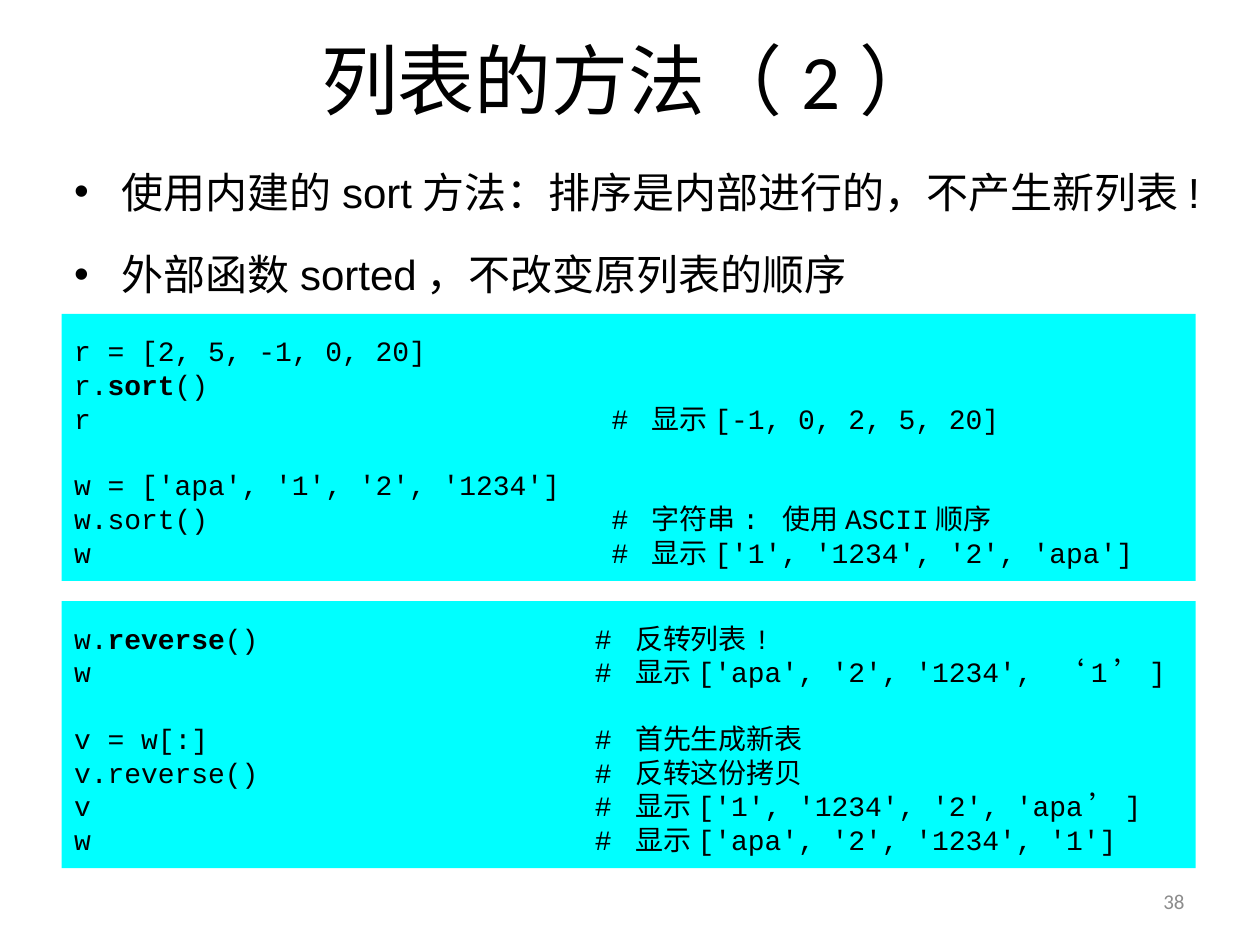
from dataclasses import dataclass
from lxml.etree import SubElement
from pptx import Presentation
from pptx.dml.color import RGBColor
from pptx.enum.lang import MSO_LANGUAGE_ID
from pptx.enum.shapes import MSO_SHAPE
from pptx.enum.text import MSO_ANCHOR, PP_ALIGN
from pptx.oxml.ns import qn
from pptx.util import Inches, Pt


@dataclass(frozen=True)
class Theme:
    ink: RGBColor = RGBColor(0, 0, 0)
    gray: RGBColor = RGBColor(0x8C, 0x8C, 0x8C)
    cyan: RGBColor = RGBColor(0, 0xFF, 0xFF)
    head: str = "Calibri"
    body: str = "Arial"
    code: str = "Courier New"
    title: int = 44
    point: int = 24
    mono: int = 16
    small: int = 12
    gap: int = 19


THEME = Theme()
LEFT, WIDTH = 0.49, 9

POINTS = [
    "使用内建的sort方法：排序是内部进行的，不产生新列表!",
    "外部函数sorted，不改变原列表的顺序",
]

SORT = [
    [("r = [2, 5, -1, 0, 20]", "")],
    [("r.sort()", "")],
    [("r", "显示[-1, 0, 2, 5, 20]")],
]
SORT = [
    [
        ("r = [2, 5, -1, 0, 20]", "", ""),
        ("r.", "sort", "()"),
        ("r", "", "\t# 显示[-1, 0, 2, 5, 20]"),
    ],
    [
        ("w = ['apa', '1', '2', '1234']", "", ""),
        ("w.sort()", "", "\t# 字符串: 使用ASCII顺序"),
        ("w", "", "\t# 显示['1', '1234', '2', 'apa']"),
    ],
]
REVERSE = [
    [
        ("w.", "reverse", "()\t# 反转列表!"),
        ("w", "", "\t# 显示['apa', '2', '1234', ‘1’]"),
    ],
    [
        ("v = w[:]", "", "\t# 首先生成新表"),
        ("v.reverse()", "", "\t# 反转这份拷贝"),
        ("v", "", "\t# 显示['1', '1234', '2', 'apa’]"),
        ("w", "", "\t# 显示['apa', '2', '1234', '1']"),
    ],
]


def style(para, face, size, color):
    font = para.font
    font.name, font.size = face, Pt(size)
    font.color.rgb = color
    font.language_id = MSO_LANGUAGE_ID.SIMPLIFIED_CHINESE


def add_text(slide, box, anchor=MSO_ANCHOR.TOP):
    frame = slide.shapes.add_textbox(*map(Inches, box)).text_frame
    frame.word_wrap = True
    frame.vertical_anchor = anchor
    return frame


def add_line(slide, box, text, align, face, size, color):
    para = add_text(slide, box, MSO_ANCHOR.MIDDLE).paragraphs[0]
    para.text, para.alignment = text, align
    style(para, face, size, color)


def next_para(frame, first):
    return frame.paragraphs[0] if first else frame.add_paragraph()


def add_points(slide, box, points):
    frame = add_text(slide, box)
    for i, text in enumerate(points):
        para = next_para(frame, i == 0)
        para.text = text
        para.line_spacing, para.space_before = 1.5, Pt(4)
        props = para._p.get_or_add_pPr()
        props.set("marL", str(Inches(0.38)))
        props.set("indent", str(-Inches(0.38)))
        props.set("hangingPunct", "1")
        SubElement(props, qn("a:buFont")).set("typeface", THEME.body)
        SubElement(props, qn("a:buChar")).set("char", "•")
        style(para, THEME.body, THEME.point, THEME.ink)


def set_tab(para, chars):
    tabs = SubElement(para._p.get_or_add_pPr(), qn("a:tabLst"))
    stop = SubElement(tabs, qn("a:tab"))
    stop.set("pos", str(Pt(chars * THEME.mono * 0.6)))
    stop.set("algn", "l")


def add_code(slide, top, groups, chars):
    box = map(Inches, (LEFT, top, WIDTH, 2.12))
    shape = slide.shapes.add_shape(MSO_SHAPE.RECTANGLE, *box)
    shape.shadow.inherit = False
    shape.fill.solid()
    shape.fill.fore_color.rgb = THEME.cyan
    shape.line.fill.background()
    frame = shape.text_frame
    frame.word_wrap = True
    frame.vertical_anchor = MSO_ANCHOR.TOP
    frame.margin_top, frame.margin_bottom = Inches(0.16), Inches(0.08)
    for g, group in enumerate(groups):
        for i, parts in enumerate(group):
            para = next_para(frame, g == i == 0)
            para.alignment = PP_ALIGN.LEFT
            if g and i == 0:
                para.space_before = Pt(THEME.gap)
            set_tab(para, chars)
            style(para, THEME.code, THEME.mono, THEME.ink)
            for k, text in enumerate(parts):
                if text:
                    run = para.add_run()
                    run.text = text
                    if k == 1:
                        run.font.bold = True


def main():
    deck = Presentation()
    deck.slide_width, deck.slide_height = Inches(10), Inches(7.5)
    slide = deck.slides.add_slide(deck.slide_layouts[6])
    add_line(slide, (LEFT, 0, WIDTH, 1.25), "列表的方法（2）",
             PP_ALIGN.CENTER, THEME.head, THEME.title, THEME.ink)
    add_line(slide, (7.17, 6.95, 2.33, 0.4), "38",
             PP_ALIGN.RIGHT, THEME.head, THEME.small, THEME.gray)
    add_code(slide, 2.49, SORT, 32)
    add_code(slide, 4.77, REVERSE, 31)
    add_points(slide, (LEFT, 1.07, WIDTH, 1.82), POINTS)
    deck.save("out.pptx")


if __name__ == "__main__":
    main()
